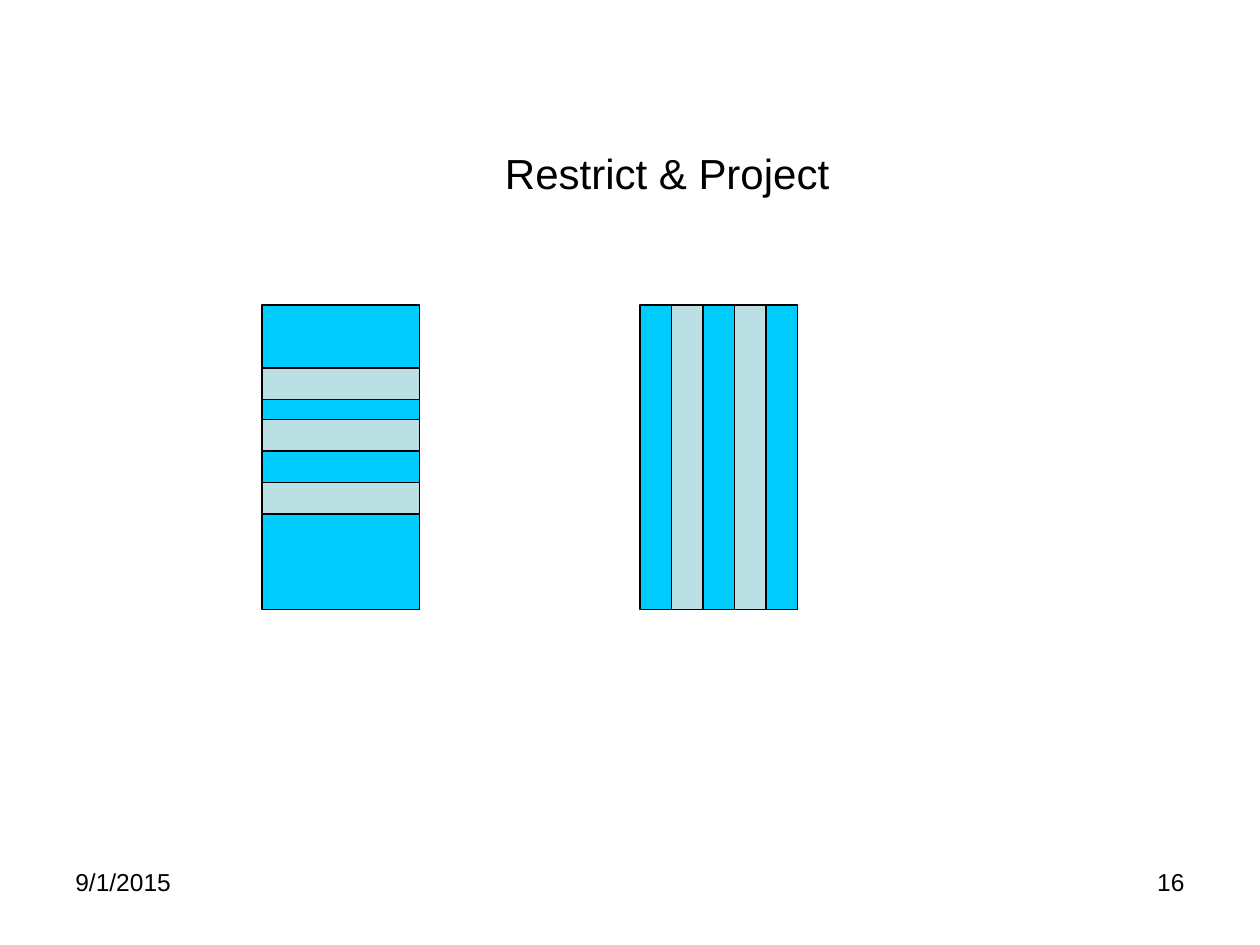
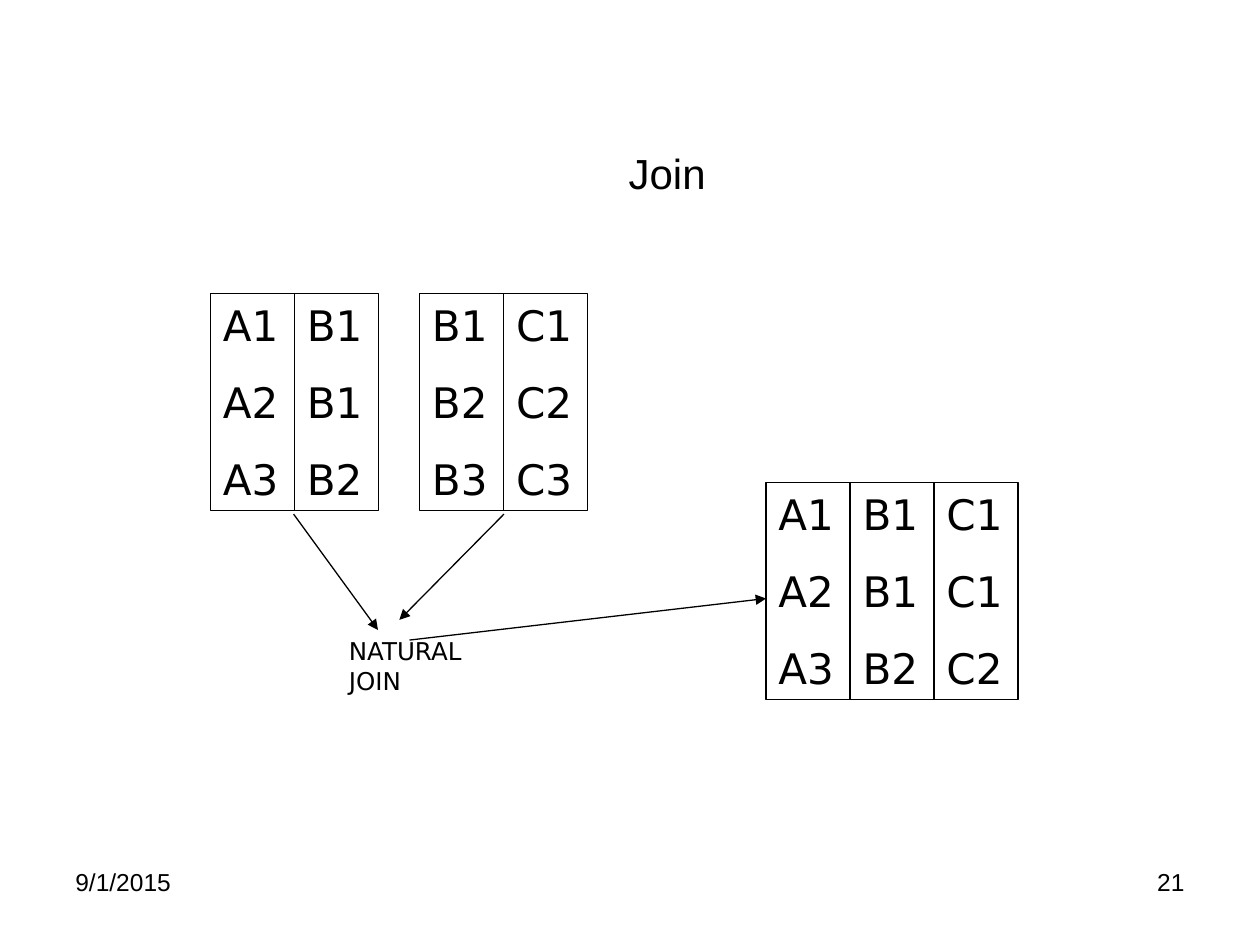
from lxml.etree import SubElement
from pptx import Presentation
from pptx.dml.color import RGBColor
from pptx.enum.shapes import MSO_CONNECTOR, MSO_SHAPE
from pptx.enum.text import MSO_ANCHOR, MSO_AUTO_SIZE, PP_ALIGN
from pptx.oxml.ns import qn
from pptx.util import Inches, Pt

BLACK = RGBColor(0x00, 0x00, 0x00)
TABLE_BLUE = RGBColor(0x00, 0xCC, 0xFF)
SELECTED_TEAL = RGBColor(0xBB, 0xE0, 0xE3)

TITLE_FORMAT = {"name": "Arial", "size": Pt(24), "bold": False}
FOOTER_FORMAT = {"name": "Arial", "size": Pt(14)}
CELL_FORMAT = {"name": "DejaVu Sans", "size": Pt(24)}
LABEL_FORMAT = {"name": "DejaVu Sans", "size": Pt(14)}

LINE_WIDTH = Pt(0.75)
ROW_GAP = Pt(15)
COLUMN_WIDTH = 2 / 3
COLUMN_HEIGHT = 1.72


class SlideBuilder:
    def __init__(self, deck):
        self.deck = deck
        self.page = None

    def start_page(self, title, number):
        self.page = self.deck.slides.add_slide(self.deck.slide_layouts[5])
        box = self.page.shapes.title
        place = {"left": 0.83, "top": 0.92, "width": 8.93, "height": 0.9}
        for name, length in place.items():
            setattr(box, name, Inches(length))
        self.fill_text(box, [title], TITLE_FORMAT, PP_ALIGN.CENTER,
                       MSO_ANCHOR.MIDDLE)
        self.text(7.17, 6.83, 2.33, 0.52, number, FOOTER_FORMAT, PP_ALIGN.RIGHT)
        self.text(0.5, 6.83, 2.33, 0.52, "9/1/2015", FOOTER_FORMAT)

    def fill_text(self, box, lines, style, align=PP_ALIGN.LEFT,
                  anchor=MSO_ANCHOR.TOP):
        frame = box.text_frame
        settings = {"word_wrap": True, "auto_size": MSO_AUTO_SIZE.NONE,
                    "vertical_anchor": anchor,
                    "margin_left": Inches(0.1), "margin_right": Inches(0.1),
                    "margin_top": Inches(0.05), "margin_bottom": Inches(0.05)}
        for name, value in settings.items():
            setattr(frame, name, value)
        for index, line in enumerate(lines):
            para = frame.add_paragraph() if index else frame.paragraphs[0]
            para.alignment = align
            para.space_before = ROW_GAP if index else Pt(0)
            span = para.add_run()
            span.text = line
            for name, value in style.items():
                setattr(span.font, name, value)
            span.font.color.rgb = BLACK

    def text(self, left, top, width, height, words, style, align=PP_ALIGN.LEFT):
        box = self.page.shapes.add_textbox(
            Inches(left), Inches(top), Inches(width), Inches(height))
        self.fill_text(box, [words], style, align)

    def rectangle(self, left, top, width, height, fill=None):
        box = self.page.shapes.add_shape(
            MSO_SHAPE.RECTANGLE,
            Inches(left), Inches(top), Inches(width), Inches(height))
        box.shadow.inherit = False
        if fill is None:
            box.fill.background()
        else:
            box.fill.solid()
            box.fill.fore_color.rgb = fill
        box.line.color.rgb = BLACK
        box.line.width = LINE_WIDTH
        return box

    def relation(self, left, top, columns):
        for index, values in enumerate(columns):
            box = self.rectangle(left + index * COLUMN_WIDTH, top,
                                 COLUMN_WIDTH, COLUMN_HEIGHT)
            self.fill_text(box, values.split(), CELL_FORMAT)

    def arrow(self, start, end):
        connector = self.page.shapes.add_connector(
            MSO_CONNECTOR.STRAIGHT,
            *[Inches(length) for length in (*start, *end)])
        connector.line.color.rgb = BLACK
        connector.line.width = LINE_WIDTH
        properties = connector.element.spPr
        SubElement(properties.find(qn("a:ln")), qn("a:tailEnd"), type="triangle")
        SubElement(properties, qn("a:effectLst"))


def build_restrict_and_project(builder):
    builder.start_page("Restrict & Project", "16")
    top, width, height, band = 2.42, 1.25, 2.42, 0.25
    restrict_left, project_left = 2.08, 5.08
    builder.rectangle(restrict_left, top, width, height, TABLE_BLUE)
    for row_top in (2.92, 3.33, 3.83):
        builder.rectangle(restrict_left, row_top, width, band, SELECTED_TEAL)
    builder.rectangle(project_left, top, width, height, TABLE_BLUE)
    for column in (1, 3):
        builder.rectangle(project_left + column * band, top, band, height,
                          SELECTED_TEAL)


def build_join(builder):
    builder.start_page("Join", "21")
    builder.relation(1.67, 2.33, ["A1 A2 A3", "B1 B1 B2"])
    builder.relation(3.33, 2.33, ["B1 B2 B3", "C1 C2 C3"])
    builder.relation(6.08, 3.83, ["A1 A2 A3", "B1 B1 B2", "C1 C1 C2"])
    builder.arrow((2.33, 4.08), (3, 5))
    builder.arrow((4, 4.08), (3.17, 4.92))
    builder.text(2.67, 5, 1.25, 0.57, "NATURAL JOIN", LABEL_FORMAT)
    builder.arrow((3.25, 5.08), (6.08, 4.75))


def main():
    deck = Presentation()
    deck.slide_width = Inches(10)
    deck.slide_height = Inches(7.5)
    builder = SlideBuilder(deck)
    build_restrict_and_project(builder)
    build_join(builder)
    deck.save("out.pptx")


if __name__ == "__main__":
    main()
